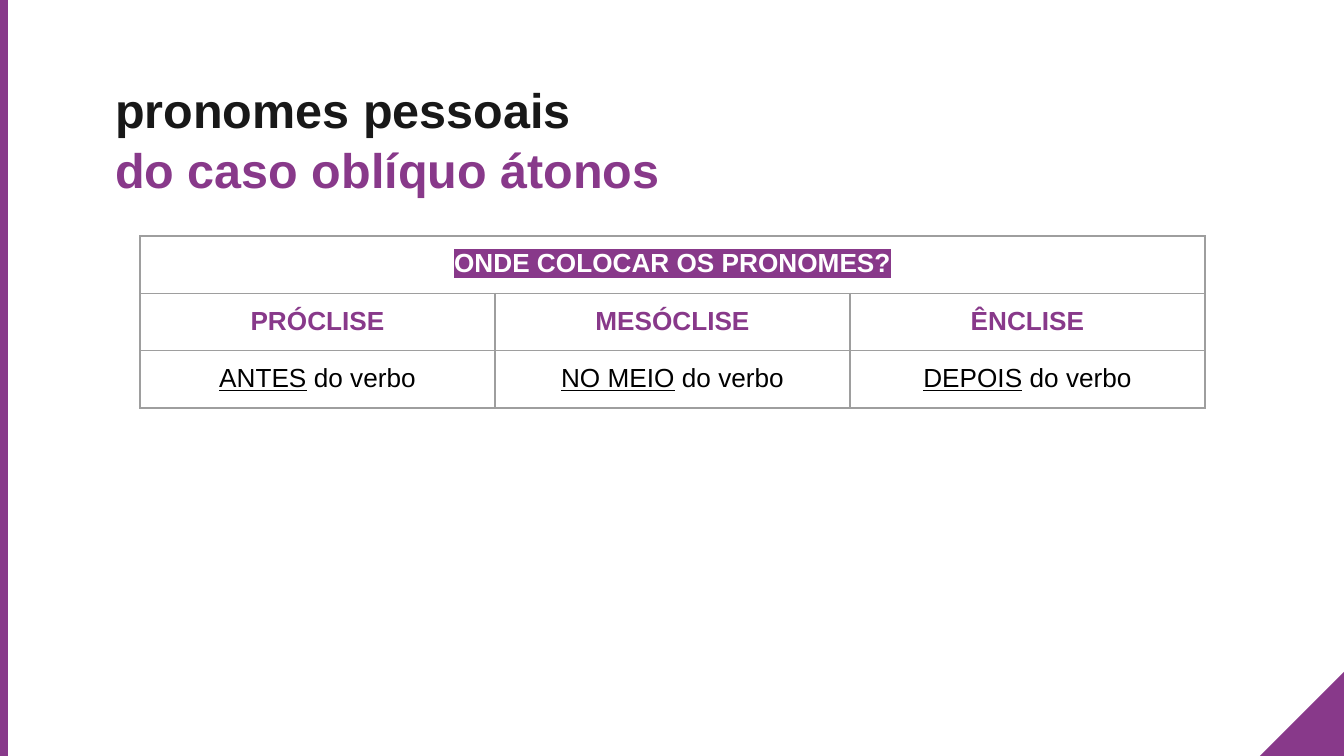
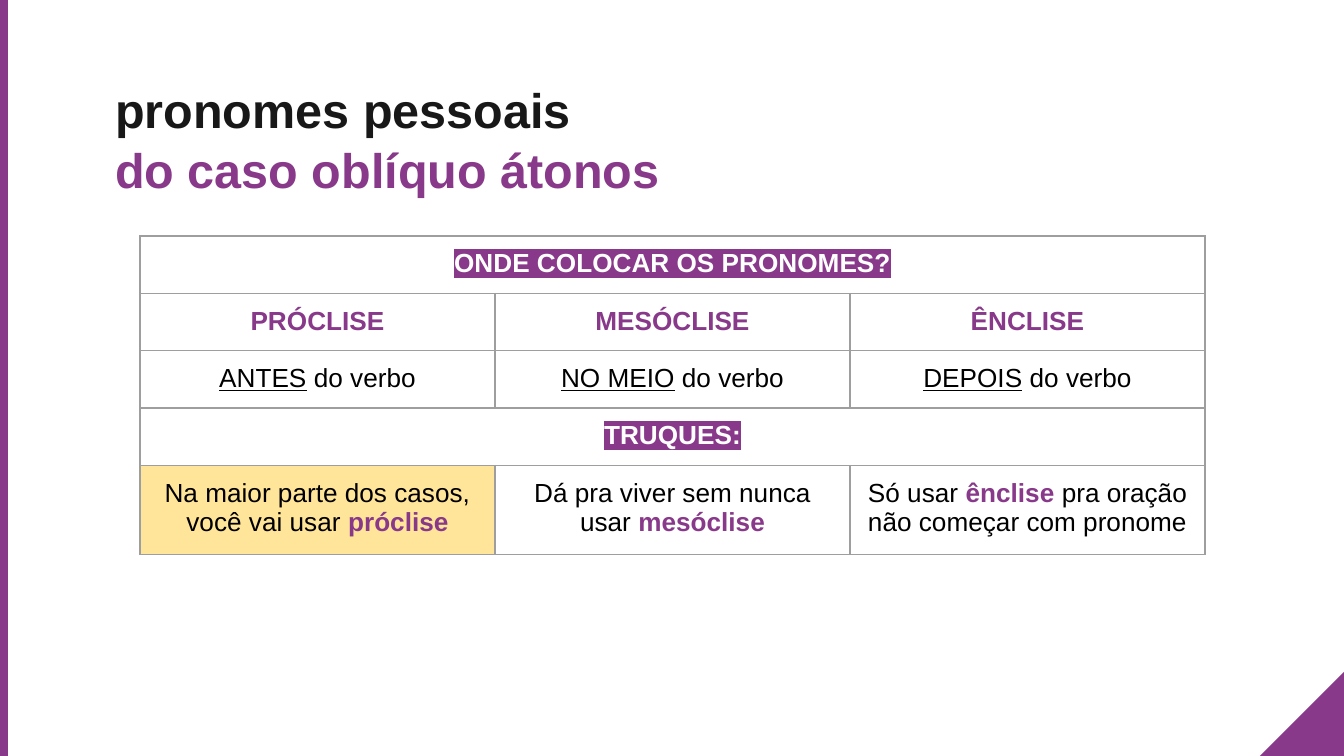
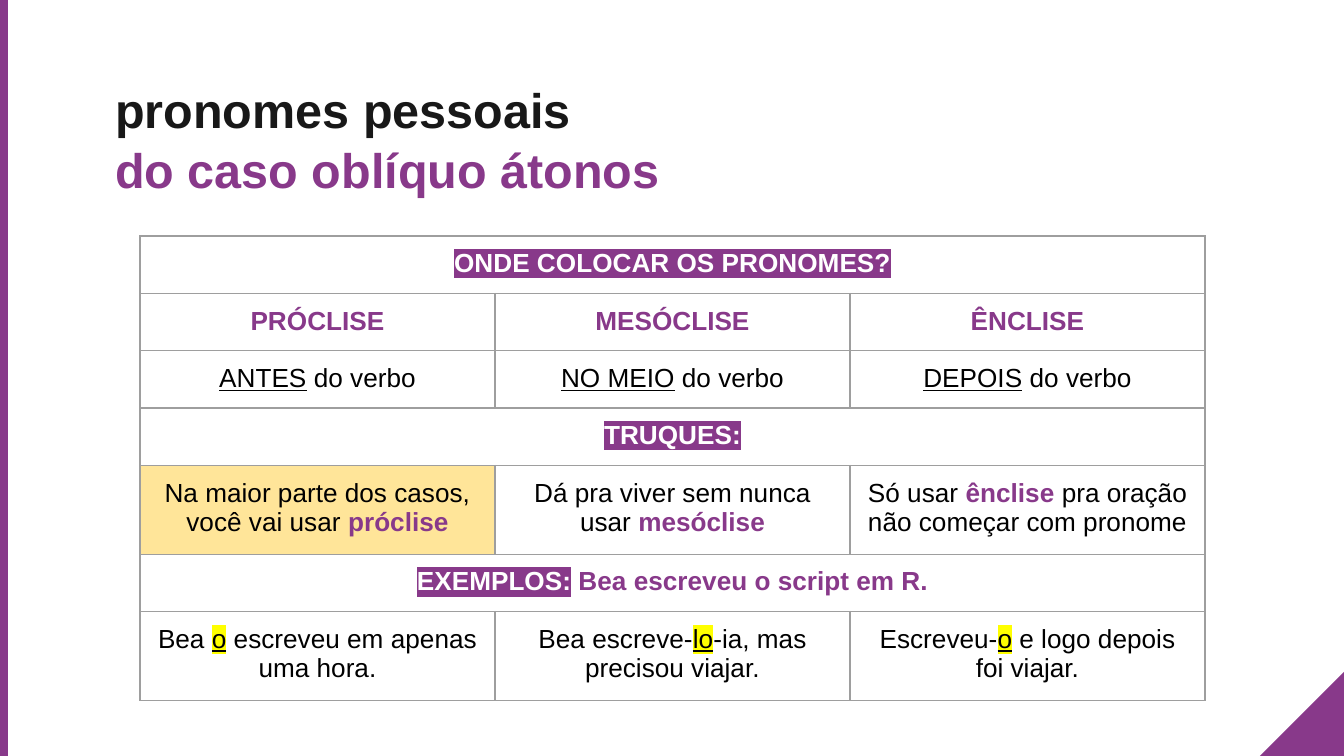
import lxml.etree
import pptx
import pptx.dml.color
import pptx.enum.shapes
import pptx.enum.text
import pptx.oxml.ns
import pptx.util

PX = 914400 / 134.4
PAGE_WIDTH, PAGE_HEIGHT = 1344, 756
BAND_WIDTH = 8
CORNER = 84
INSET = 13
COLUMN_WIDTH, ROW_HEIGHT = 355, 56
FONT = "Arial"
COLORS = {
    "purple": "88398A",
    "ink": "181818",
    "black": "000000",
    "white": "FFFFFF",
    "border": "9E9E9E",
    "sand": "FFE599",
    "yellow": "FFFF00",
}
STYLES = {
    "plain": {"color": "black"},
    "underlined": {"color": "black", "underline": True},
    "pronoun": {"color": "black", "underline": True, "highlight": "yellow"},
    "strong": {"color": "purple", "bold": True},
    "badge": {"color": "white", "bold": True, "highlight": "purple"},
}
TITLE_LINES = [("pronomes pessoais", "ink"), ("do caso oblíquo átonos", "purple")]
PLACEMENT_ROWS = [
    [[("ONDE COLOCAR OS PRONOMES?", "badge")]],
    [[("PRÓCLISE", "strong")], [("MESÓCLISE", "strong")], [("ÊNCLISE", "strong")]],
    [
        [(place, "underlined"), (" do verbo", "plain")]
        for place in ("ANTES", "NO MEIO", "DEPOIS")
    ],
]
TRICK_ROWS = [
    [[("TRUQUES:", "badge")]],
    [
        [("Na maior parte dos casos, você vai usar ", "plain"), ("próclise", "strong")],
        [("Dá pra viver sem nunca usar ", "plain"), ("mesóclise", "strong")],
        [
            ("Só usar ", "plain"),
            ("ênclise", "strong"),
            (" pra oração não começar com pronome", "plain"),
        ],
    ],
]
EXAMPLE_ROWS = [
    [[("EXEMPLOS:", "badge"), (" Bea escreveu o script em R.", "strong")]],
    [
        [(before, "plain"), (pronoun, "pronoun"), (after, "plain")]
        for before, pronoun, after in (
            ("Bea ", "o", " escreveu em apenas uma hora."),
            ("Bea escreve-", "lo", "-ia, mas precisou viajar."),
            ("Escreveu-", "o", " e logo depois foi viajar."),
        )
    ],
]
CELL_FILLS = {(4, 0): "sand"}


def px(length):
    return pptx.util.Emu(round(length * PX))


def rgb(name):
    return pptx.dml.color.RGBColor.from_string(COLORS[name])


def add_element(parent, tag, **attributes):
    return lxml.etree.SubElement(parent, pptx.oxml.ns.qn(tag), **attributes)


def format_span(span, size, color, bold=False, underline=False, highlight=None):
    font = span.font
    font.name = FONT
    font.size = pptx.util.Pt(size)
    font.bold = bold
    font.underline = underline
    font.color.rgb = rgb(color)
    if highlight:
        properties = font._element
        mark = add_element(properties, "a:highlight")
        add_element(mark, "a:srgbClr", val=COLORS[highlight])
        properties.find(pptx.oxml.ns.qn("a:solidFill")).addnext(mark)


def add_purple_shape(page, kind, left, top, width, height):
    shape = page.shapes.add_shape(kind, px(left), px(top), px(width), px(height))
    shape.shadow.inherit = False
    shape.fill.solid()
    shape.fill.fore_color.rgb = rgb("purple")
    shape.line.fill.background()
    return shape


def add_decoration(page):
    kinds = pptx.enum.shapes.MSO_SHAPE
    corner = add_purple_shape(
        page, kinds.RIGHT_TRIANGLE,
        PAGE_WIDTH - CORNER, PAGE_HEIGHT - CORNER, CORNER, CORNER,
    )
    corner._element.spPr.xfrm.set("flipH", "1")
    add_purple_shape(page, kinds.RECTANGLE, 0, 0, BAND_WIDTH, PAGE_HEIGHT)


def add_title(page):
    box = page.shapes.add_textbox(px(102), px(62), px(664), px(126))
    frame = box.text_frame
    frame.word_wrap = True
    frame.vertical_anchor = pptx.enum.text.MSO_ANCHOR.TOP
    frame.margin_left = frame.margin_right = frame.margin_bottom = px(INSET)
    frame.margin_top = px(18)
    frame.text = "\n".join(text for text, color in TITLE_LINES)
    for para, (text, color) in zip(frame.paragraphs, TITLE_LINES):
        format_span(para.runs[0], 26, color, bold=True)
    frame.paragraphs[1].space_before = pptx.util.Pt(1)


def add_borders(cell):
    properties = cell._tc.get_or_add_tcPr()
    for side in ("a:lnL", "a:lnR", "a:lnT", "a:lnB"):
        line = add_element(properties, side, w=str(pptx.util.Pt(0.75)))
        fill = add_element(line, "a:solidFill")
        add_element(fill, "a:srgbClr", val=COLORS["border"])


def style_cell(cell, fill):
    cell.margin_left = cell.margin_right = px(INSET)
    cell.margin_top = cell.margin_bottom = px(INSET)
    add_borders(cell)
    if fill:
        cell.fill.solid()
        cell.fill.fore_color.rgb = rgb(fill)
    else:
        cell.fill.background()


def write_cell(cell, spans):
    para = cell.text_frame.paragraphs[0]
    para.alignment = pptx.enum.text.PP_ALIGN.CENTER
    for text, style in spans:
        span = para.add_run()
        span.text = text
        format_span(span, 14, **STYLES[style])


def add_pronoun_table(page, rows):
    columns = 3
    table = page.shapes.add_table(
        len(rows), columns, px(140), px(236),
        px(columns * COLUMN_WIDTH), px(len(rows) * ROW_HEIGHT),
    ).table
    table.first_row = False
    table.horz_banding = False
    for column in table.columns:
        column.width = px(COLUMN_WIDTH)
    for row_index, contents in enumerate(rows):
        table.rows[row_index].height = px(ROW_HEIGHT)
        for column_index in range(columns):
            position = (row_index, column_index)
            style_cell(table.cell(*position), CELL_FILLS.get(position))
        if len(contents) == 1:
            table.cell(row_index, 0).merge(table.cell(row_index, columns - 1))
        for column_index, spans in enumerate(contents):
            write_cell(table.cell(row_index, column_index), spans)


def main():
    deck = pptx.Presentation()
    deck.slide_width = px(PAGE_WIDTH)
    deck.slide_height = px(PAGE_HEIGHT)
    rows = []
    for new_rows in (PLACEMENT_ROWS, TRICK_ROWS, EXAMPLE_ROWS):
        rows = rows + new_rows
        page = deck.slides.add_slide(deck.slide_layouts[6])
        add_decoration(page)
        add_title(page)
        add_pronoun_table(page, rows)
    deck.save("out.pptx")


if __name__ == "__main__":
    main()
